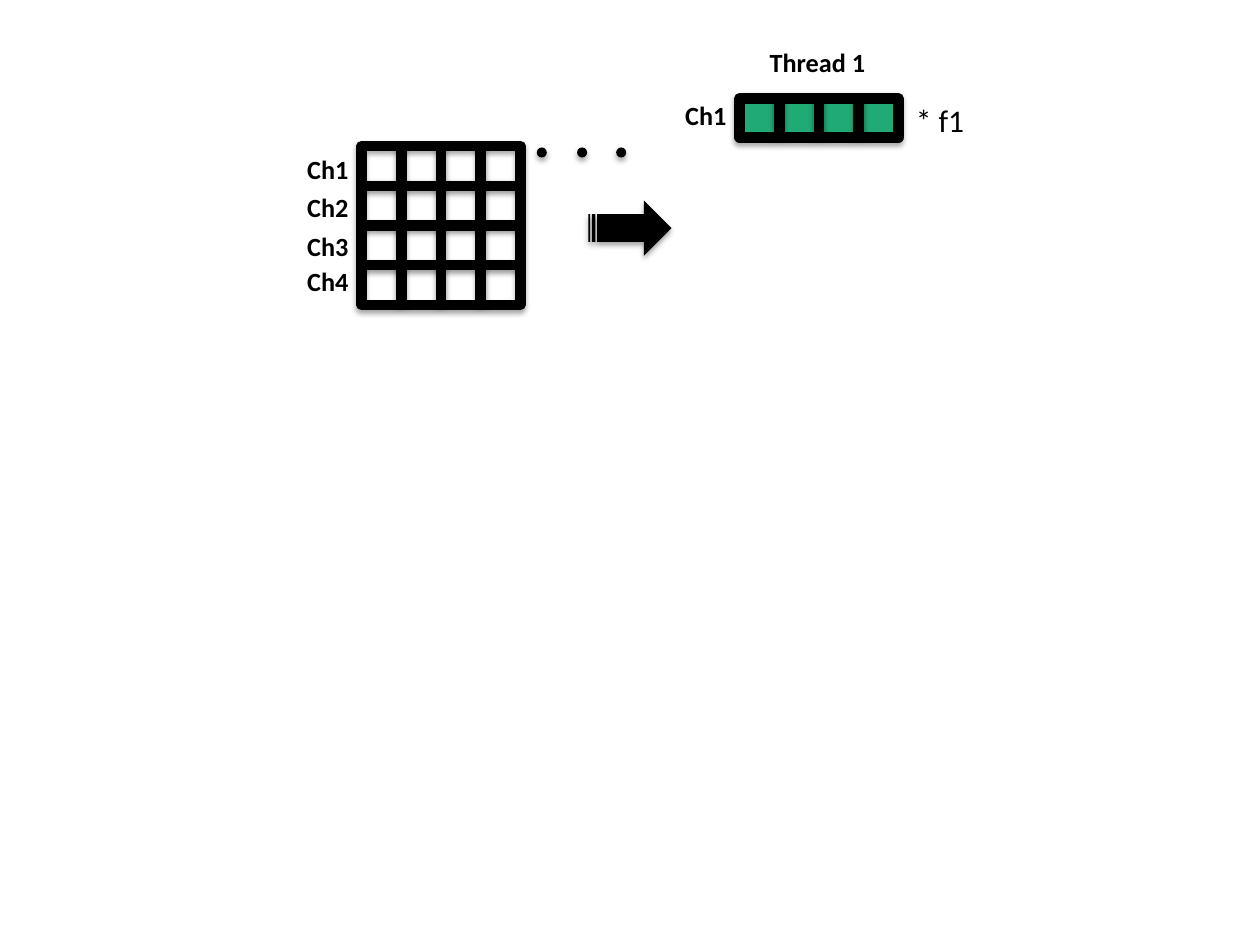
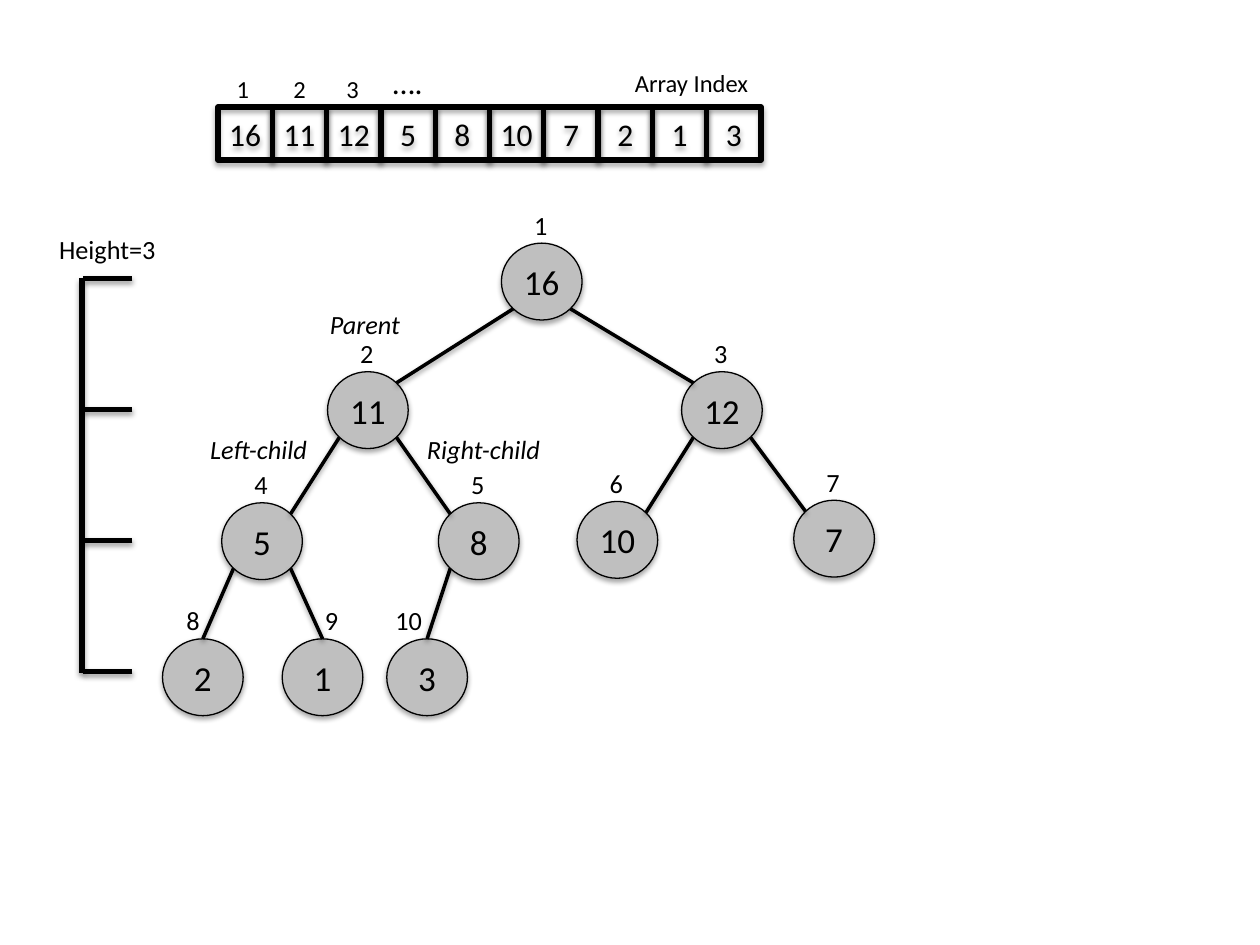
from math import sqrt

from lxml.etree import SubElement
from pptx import Presentation
from pptx.dml.color import RGBColor
from pptx.enum.shapes import MSO_CONNECTOR, MSO_SHAPE
from pptx.enum.text import MSO_AUTO_SIZE
from pptx.oxml.ns import qn
from pptx.util import Inches, Pt

BLACK = "000000"
GREEN = "20AA76"
GRAY = "BFBFBF"


def color(hex_string):
    """Turn a hex string into a colour."""
    return RGBColor.from_string(hex_string)


class Diagram:
    """Hold the shared style and the current slide."""

    font_name = "Calibri"

    def __init__(self):
        """Start an empty presentation."""
        self.presentation = Presentation()
        self.presentation.slide_width = Inches(10)
        self.presentation.slide_height = Inches(7.5)
        self.slide = None

    def new_slide(self):
        """Add a blank slide and make it current."""
        self.slide = self.presentation.slides.add_slide(self.presentation.slide_layouts[6])

    def shadow(self, element, distance, opacity):
        """Give a shape or connector a soft shadow straight below."""
        properties = element._element.spPr
        effects = properties.find(qn("a:effectLst"))
        if effects is None:
            effects = SubElement(properties, qn("a:effectLst"))
        outer = SubElement(effects, qn("a:outerShdw"), blurRad=str(Pt(3.1)),
                           dist=str(Pt(distance)), dir="5400000", rotWithShape="0")
        shade = SubElement(outer, qn("a:srgbClr"), val=BLACK)
        SubElement(shade, qn("a:alpha"), val=str(opacity * 1000))

    def set_text(self, frame, text, size, bold=False, italic=False):
        """Put one styled line of text in a text frame."""
        frame.word_wrap = False
        paragraph = frame.paragraphs[0]
        paragraph.text = text
        font = paragraph.font
        font.name, font.size = self.font_name, Pt(size)
        font.bold, font.italic = bold, italic
        font.color.rgb = color(BLACK)

    def shape(self, kind, left, top, width, height, fill=None, line=None, text=None, size=18):
        """Draw a preset shape, with centred text if given."""
        shape = self.slide.shapes.add_shape(
            kind, Inches(left), Inches(top), Inches(width), Inches(height))
        shape.shadow.inherit = False
        if fill:
            shape.fill.solid()
            shape.fill.fore_color.rgb = color(fill)
        else:
            shape.fill.background()
        if line:
            shape.line.color.rgb = color(BLACK)
            shape.line.width = Pt(line)
        else:
            shape.line.fill.background()
        self.shadow(shape, 1.8, 35)
        if text:
            frame = shape.text_frame
            frame.margin_left = frame.margin_right = 0
            frame.margin_top = frame.margin_bottom = 0
            self.set_text(frame, text, size)
        return shape

    def label(self, text, left, top, width, height=0.35, size=15, **style):
        """Add a free-standing label."""
        box = self.slide.shapes.add_textbox(
            Inches(left), Inches(top), Inches(width), Inches(height))
        self.set_text(box.text_frame, text, size, **style)
        box.text_frame.auto_size = MSO_AUTO_SIZE.SHAPE_TO_FIT_TEXT

    def line(self, start, end, width):
        """Draw a straight black line between two points."""
        line = self.slide.shapes.add_connector(
            MSO_CONNECTOR.STRAIGHT, *(Inches(length) for length in (*start, *end)))
        line.line.color.rgb = color(BLACK)
        line.line.width = Pt(width)
        self.shadow(line, 1.6, 38)
        return line

    def grid(self, left, top, rows, columns, width, height, fill=None):
        """Draw a frame divided by heavy lines, joined where they halve a side."""
        frame = self.shape(MSO_SHAPE.RECTANGLE, left, top, width, height, fill, 6)
        for column in range(1, columns):
            x = left + width * column / columns
            divider = self.line((x, top), (x, top + height), 6)
            if column * 2 == columns:
                divider.begin_connect(frame, 0)
                divider.end_connect(frame, 2)
        for row in range(1, rows):
            y = top + height * row / rows
            divider = self.line((left + width, y), (left, y), 6)
            if row * 2 == rows:
                divider.begin_connect(frame, 3)
                divider.end_connect(frame, 1)


def build_channels(diagram):
    """Draw the channel grid and the first thread's share of it."""
    diagram.new_slide()
    diagram.grid(2.87, 1.16, 4, 4, 1.26, 1.26)
    for number, top in enumerate((1.17, 1.47, 1.78, 2.06), 1):
        diagram.label(f"Ch{number}", 2.34, top, 0.53, 0.42, bold=True)
    diagram.shape(MSO_SHAPE.STRIPED_RIGHT_ARROW, 4.67, 1.59, 0.66, 0.44, BLACK)
    diagram.grid(5.87, 0.78, 1, 4, 1.26, 0.31, GREEN)
    diagram.label("* f1", 7.17, 0.75, 0.59, 0.4, 18)
    diagram.label("Ch1", 5.34, 0.74, 0.53, 0.42, bold=True)
    diagram.label("Thread 1", 6.01, 0.32, 0.97, bold=True)
    for left in (4.26, 4.58, 4.89):
        diagram.shape(MSO_SHAPE.OVAL, left, 1.17, 0.08, 0.08, BLACK)


def build_heap(diagram):
    """Draw a heap as an array and as a tree."""
    diagram.new_slide()
    values = (16, 11, 12, 5, 8, 10, 7, 2, 1, 3)
    build_tree(diagram, values)

    level_top, level_gap = 2.21, 1.04
    for level in range(4):
        y = level_top + level * level_gap
        diagram.line((1.05, y), (0.66, y), 3)
    diagram.line((0.65, level_top), (0.65, 5.34), 3)
    diagram.label("Height=3", 0.37, 1.8, 0.98)

    diagram.label("Parent", 2.52, 2.4, 0.82, italic=True)
    diagram.label("Left-child", 1.57, 3.39, 1.03, italic=True)
    diagram.label("Right-child", 3.29, 3.39, 1.17, italic=True)

    cell_width = 4.31 / len(values)
    for position, value in enumerate(values):
        diagram.shape(MSO_SHAPE.RECTANGLE, 1.73 + position * cell_width, 0.85,
                      cell_width, 0.42, line=3, text=str(value))
    for number, left in enumerate((1.78, 2.23, 2.65), 1):
        diagram.label(str(number), left, 0.54, 0.3, 0.34, 14)
    diagram.label("….", 3.02, 0.45, 0.44, 0.4, 18)
    diagram.label("Array Index", 4.94, 0.49, 1.11, 0.34, 14)


def build_tree(diagram, values):
    """Draw the numbered nodes, each joined to the node at half its index."""
    width, height = 0.64, 0.61
    first_leaf = 8
    corners = ((3.98, 1.93), (2.6, 2.95), (5.41, 2.95), (1.76, 3.99), (3.48, 3.99),
               (4.58, 3.98), (6.3, 3.97), (1.29, 5.07), (2.24, 5.07), (3.07, 5.07))
    leaf_label_offsets = {8: 0.09, 9: 0.24, 10: -0.03}

    def rim(index, horizontal, vertical):
        """Find the diagonal point on a node's rim."""
        left, top = corners[index - 1]
        return (left + width / 2 + horizontal * width / sqrt(8),
                top + height / 2 + vertical * height / sqrt(8))

    for index, (value, (left, top)) in enumerate(zip(values, corners), 1):
        diagram.shape(MSO_SHAPE.OVAL, left, top, width, height, GRAY, 0.75, str(value), 20)
        offset = leaf_label_offsets.get(index, 0.16)
        diagram.label(str(index), left + offset, top - 0.32, 0.31 if index < 10 else 0.42)
        if index > 1:
            side = -1 if index % 2 == 0 else 1
            end = rim(index, -side, -1) if index < first_leaf else (left + width / 2, top)
            diagram.line(rim(index // 2, side, 1), end, 2)


def main():
    """Build both slides and save them."""
    diagram = Diagram()
    build_channels(diagram)
    build_heap(diagram)
    diagram.presentation.save("out.pptx")


if __name__ == "__main__":
    main()
